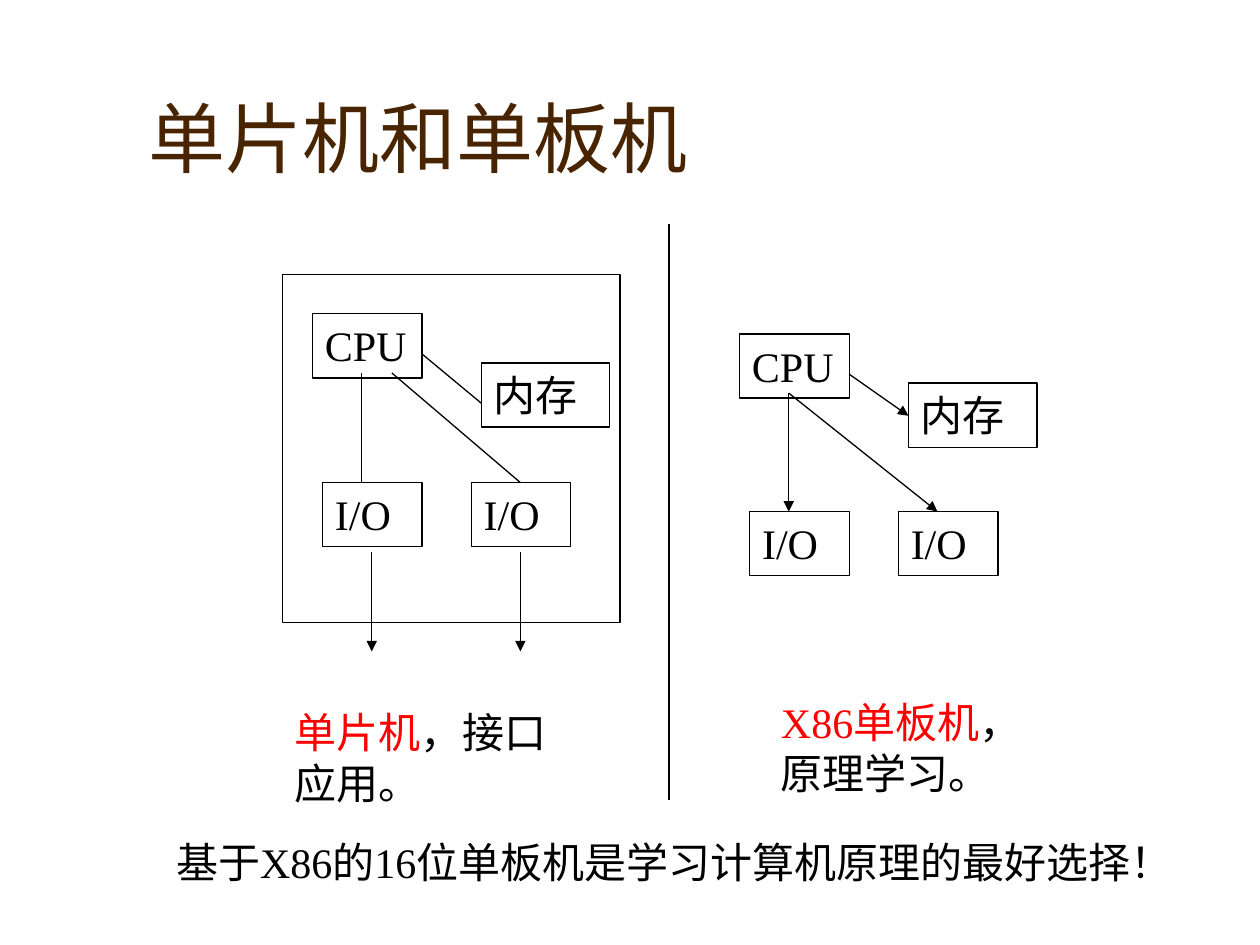
from lxml.etree import SubElement
from pptx import Presentation
from pptx.dml.color import RGBColor
from pptx.enum.shapes import MSO_CONNECTOR, MSO_SHAPE
from pptx.enum.text import MSO_ANCHOR, MSO_AUTO_SIZE, PP_ALIGN
from pptx.oxml.ns import qn
from pptx.util import Inches, Pt

COLORS = {"ink": "000000", "accent": "FF0000", "title": "482400"}
FONT = "Times New Roman"


def add_runs(frame, runs, size=24):
    """Write coloured runs into the first paragraph of a frame."""
    frame.word_wrap = True
    paragraph = frame.paragraphs[0]
    paragraph.alignment = PP_ALIGN.LEFT
    for text, color in runs:
        run = paragraph.add_run()
        run.text = text
        run.font.name = FONT
        run.font.size = Pt(size)
        run.font.color.rgb = RGBColor.from_string(COLORS[color])


def add_frame(slide, left, top, width, height):
    """Draw an unfilled rectangle with a thin outline."""
    frame = slide.shapes.add_shape(
        MSO_SHAPE.RECTANGLE, Inches(left), Inches(top), Inches(width), Inches(height))
    frame.shadow.inherit = False
    frame.fill.background()
    frame.line.color.rgb = RGBColor.from_string(COLORS["ink"])
    frame.line.width = Pt(0.75)
    return frame


def add_link(slide, start, end, arrow=False):
    """Draw a straight line, with an optional arrowhead at its end."""
    link = slide.shapes.add_connector(
        MSO_CONNECTOR.STRAIGHT, *(Inches(value) for value in (*start, *end)))
    link.line.color.rgb = RGBColor.from_string(COLORS["ink"])
    link.line.width = Pt(0.75)
    if arrow:
        SubElement(link.line._get_or_add_ln(), qn("a:tailEnd"), type="triangle")
    SubElement(link._element.spPr, qn("a:effectLst"))


def add_label(slide, left, top, width, height, runs):
    """Place a wrapped text box."""
    label = slide.shapes.add_textbox(
        Inches(left), Inches(top), Inches(width), Inches(height))
    add_runs(label.text_frame, runs)
    label.text_frame.auto_size = MSO_AUTO_SIZE.SHAPE_TO_FIT_TEXT


def add_computer(slide, left, top, io_drop):
    """Draw the CPU, memory and two I/O boxes from the CPU's corner."""
    parts = [
        ("CPU", 0, 0, 0.87),
        ("内存", 1.34, 0.39, 1.02),
        ("I/O", 0.08, io_drop, 0.79),
        ("I/O", 1.26, io_drop, 0.79),
    ]
    for name, x, y, width in parts:
        part = add_frame(slide, left + x, top + y, width, 0.51)
        part.text_frame.vertical_anchor = MSO_ANCHOR.TOP
        add_runs(part.text_frame, [(name, "ink")])
        part.text_frame.auto_size = MSO_AUTO_SIZE.SHAPE_TO_FIT_TEXT


def add_links(slide, left, top, ends, arrow):
    """Draw links whose ends are offsets from the CPU's corner."""
    for x1, y1, x2, y2 in ends:
        add_link(slide, (left + x1, top + y1), (left + x2, top + y2), arrow)


def add_single_chip(slide, left, top):
    """Draw the chip outline, its inner parts and outgoing ports."""
    cpu_left, cpu_top = left + 0.24, top + 0.31
    add_computer(slide, cpu_left, cpu_top, 1.34)
    add_links(slide, cpu_left, cpu_top, [
        (0.87, 0.32, 1.34, 0.71),
        (0.39, 0.47, 0.39, 1.34),
        (0.63, 0.47, 1.65, 1.34),
    ], False)
    add_frame(slide, left, top, 2.68, 2.76)
    add_links(slide, cpu_left, cpu_top,
              [(x, 1.89, x, 2.68) for x in (0.47, 1.65)], True)
    add_label(slide, left, top + 3.38, 2.28, 0.9,
              [("单片机", "accent"), ("，接口应用。", "ink")])


def add_single_board(slide, left, top):
    """Draw the board's parts joined by arrows, with its caption."""
    add_computer(slide, left, top, 1.41)
    add_links(slide, left, top, [
        (0.87, 0.32, 1.34, 0.65),
        (0.39, 0.47, 0.39, 1.41),
        (0.39, 0.47, 1.57, 1.41),
    ], True)
    add_label(slide, left + 0.23, top + 2.83, 2.2, 0.9,
              [("X86单板机", "accent"), ("，原理学习。", "ink")])


def add_title(slide, left, top, width, height):
    """Place and format the slide title."""
    title = slide.shapes.title
    title.left, title.top = Inches(left), Inches(top)
    title.width, title.height = Inches(width), Inches(height)
    title.text_frame.vertical_anchor = MSO_ANCHOR.BOTTOM
    add_runs(title.text_frame, [("单片机和单板机", "title")], 44)


def main():
    """Build and save the slide."""
    deck = Presentation()
    deck.slide_width, deck.slide_height = Inches(10), Inches(7.5)
    slide = deck.slides.add_slide(deck.slide_layouts[5])
    add_title(slide, 1.08, 0.25, 8.5, 1.25)
    add_single_chip(slide, 2.24, 2.18)
    add_single_board(slide, 5.87, 2.65)
    add_link(slide, (5.31, 1.78), (5.31, 6.35))
    add_label(slide, 1.3, 6.59, 7.9, 0.5,
              [("基于X86的16位单板机是学习计算机原理的最好选择！", "ink")])
    deck.save("out.pptx")


if __name__ == "__main__":
    main()
